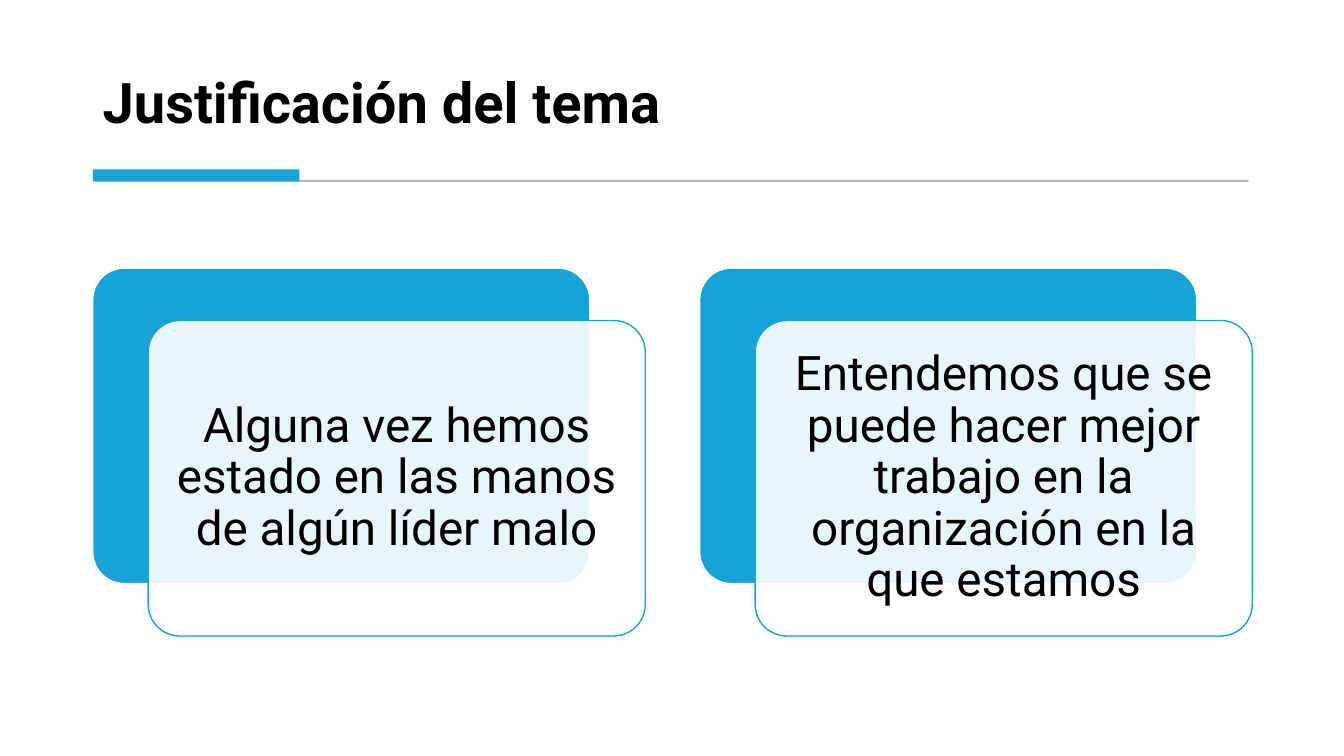
from pptx import Presentation
from pptx.dml.color import RGBColor
from pptx.enum.shapes import MSO_SHAPE as Shape
from pptx.enum.text import MSO_ANCHOR as Anchor, PP_ALIGN as Align
from pptx.oxml import parse_xml
from pptx.oxml.ns import nsdecls
from pptx.util import Pt

PX = 9144
BLUE, WHITE, BLACK, GREY = "17A3D5", "FFFFFF", "000000", "595959"
CARD_WIDTH, CARD_HEIGHT = 493, 313
CARD_LEFT, CARD_TOP, CARD_STEP = 92, 266, 602
FRONT_DX, FRONT_DY = 55, 52
REASONS = [
    "Alguna vez hemos estado en las manos de algún líder malo",
    "Entendemos que se puede hacer mejor trabajo en la organización en la que estamos",
]


def px(*lengths):
    """Turn lengths in px into EMU."""
    return [length * PX for length in lengths]


def paint(color_format, color, alpha=100):
    """Set a solid fill colour with an opacity in percent."""
    color_format.solid()
    color_format.fore_color.rgb = RGBColor.from_string(color)
    if alpha < 100:
        solid = color_format._xPr.solidFill
        solid[0].append(parse_xml(f'<a:alpha {nsdecls("a")} val="{alpha * 1000}"/>'))


def add_block(slide, kind, box, fill, line=None, alpha=100, line_alpha=100, width=1):
    """Add a filled preset shape with an optional outline."""
    block = slide.shapes.add_shape(kind, *px(*box))
    block.shadow.inherit = False
    paint(block.fill, fill, alpha)
    if line:
        paint(block.line.fill, line, line_alpha)
        block.line.width = Pt(width)
    else:
        block.line.fill.background()
    return block


def write(frame, text, size, anchor, align, bold=False):
    """Write one wrapped paragraph into a text frame."""
    frame.word_wrap = True
    frame.vertical_anchor = anchor
    paragraph = frame.paragraphs[0]
    paragraph.text = text
    paragraph.alignment = align
    paragraph.line_spacing = 0.9
    font = paragraph.font
    font.name, font.size, font.bold = "Roboto", Pt(size), bold
    font.color.rgb = RGBColor.from_string(BLACK)


def add_heading(slide, text):
    """Add the title with its thin rule and blue accent."""
    title = slide.shapes.add_textbox(*px(92, 28, 1149, 111))
    write(title.text_frame, text, 40, Anchor.BOTTOM, Align.LEFT, bold=True)
    add_block(slide, Shape.RECTANGLE, (95, 179, 1143, 1), GREY, GREY, 30, 30, 0.75)
    add_block(slide, Shape.RECTANGLE, (92, 168, 205, 12), BLUE)


def add_card(slide, left, top, text):
    """Add a blue card with a translucent text card offset over it."""
    back = add_block(slide, Shape.ROUNDED_RECTANGLE,
                     (left, top, CARD_WIDTH, CARD_HEIGHT), BLUE, WHITE)
    front = add_block(slide, Shape.ROUNDED_RECTANGLE,
                      (left + FRONT_DX, top + FRONT_DY, CARD_WIDTH, CARD_HEIGHT),
                      WHITE, BLUE, alpha=90)
    for card in (back, front):
        card.adjustments[0] = 0.1
    frame = front.text_frame
    frame.margin_left, frame.margin_top, frame.margin_right, frame.margin_bottom = px(14, 14, 14, 14)
    write(frame, text, 34, Anchor.MIDDLE, Align.CENTER)


def main():
    """Build and save the slide."""
    deck = Presentation()
    deck.slide_width, deck.slide_height = px(1333, 750)
    slide = deck.slides.add_slide(deck.slide_layouts[6])
    paint(slide.background.fill, WHITE)
    add_heading(slide, "Justificación del tema")
    for index, reason in enumerate(REASONS):
        add_card(slide, CARD_LEFT + index * CARD_STEP, CARD_TOP, reason)
    deck.save("out.pptx")


if __name__ == "__main__":
    main()
